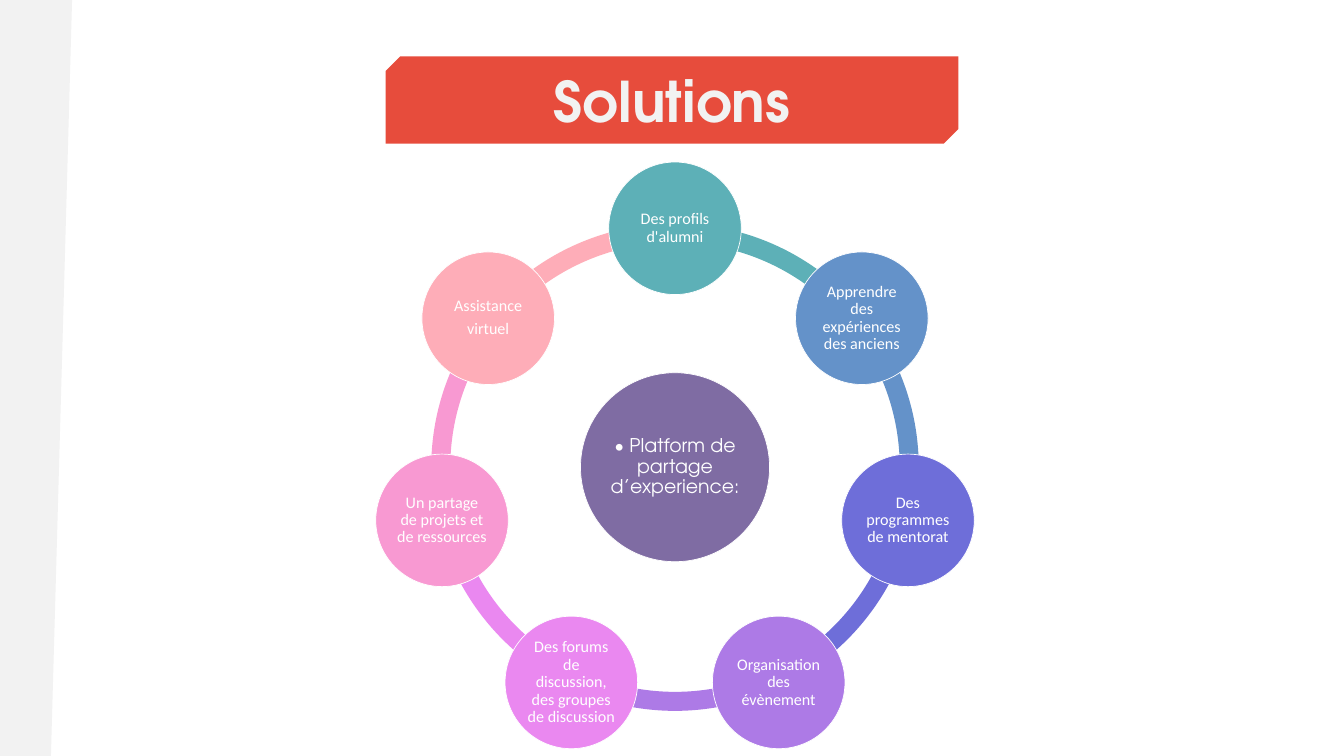
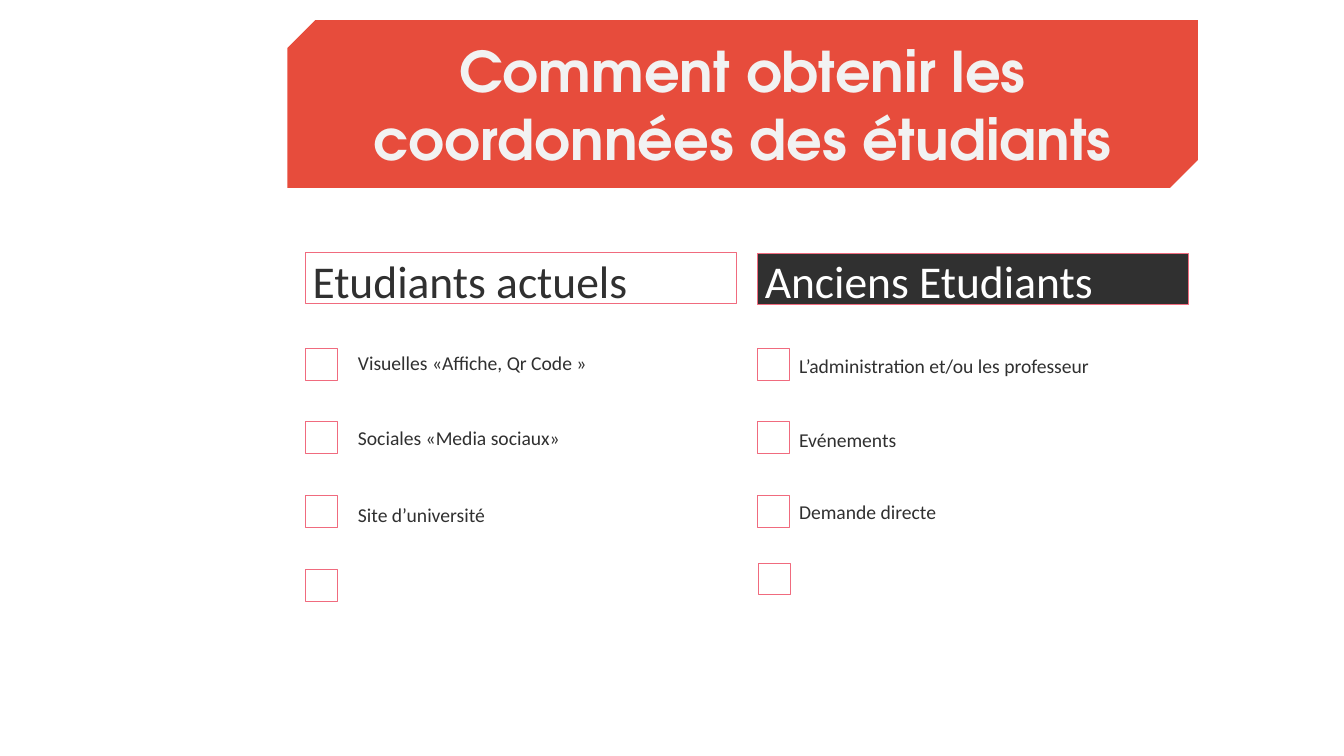
"""Build two slides: a ring of alumni platform ideas and a two-column checklist."""
from dataclasses import dataclass
from math import cos, radians, sin
from typing import NamedTuple

from pptx import Presentation
from pptx.dml.color import RGBColor
from pptx.enum.shapes import MSO_SHAPE as Preset
from pptx.enum.text import MSO_ANCHOR as Anchor, MSO_AUTO_SIZE as AutoSize, PP_ALIGN as Align
from pptx.util import Inches, Pt

TITLE_FONT, BODY_FONT = "TeX Gyre Adventor", "Calibri"
RED, PINK, PALE, WHITE, DARK, PURPLE = "E74C3C", "F06B7E", "F2F2F2", "FFFFFF", "303030", "7F6CA3"

RING_X, RING_Y, RING_RADIUS, ARC_SIZE = 13.39, 9.27, 4.74, 9.67
PETAL_SIZE, HUB_SIZE = 2.63, 3.75
ADJUST_PER_DEGREE = 0.6

COLUMN_WIDTH, HEADING_HEIGHT, CHECK_SIZE = 8.55, 1.01, 0.63
CHECK_TOP, CHECK_STEP = 6.91, 1.46
LABEL_WIDTH, LABEL_HEIGHT, LABEL_INSET = 7.95, 1.46, 0.22


class Area(NamedTuple):
    left: float
    top: float
    width: float
    height: float

    def lengths(self) -> list:
        return [Inches(value) for value in self]


class Insets(NamedTuple):
    left: float
    top: float
    right: float
    bottom: float


@dataclass(frozen=True)
class TextStyle:
    size: float
    color: str
    font: str = BODY_FONT
    bold: bool = False
    align: Align = Align.LEFT
    line_spacing: float = 0.9
    after_share: float = 0.35


@dataclass(frozen=True)
class Petal:
    lines: tuple[str, ...]
    color: str


@dataclass(frozen=True)
class Label:
    text: str
    top: float
    lift: float = 0


@dataclass(frozen=True)
class Column:
    heading: str
    left: float
    heading_top: float
    fill: str
    heading_color: str
    label_left: float
    last_check: tuple[float, float]
    labels: tuple[Label, ...]


TITLE_STYLE = TextStyle(80, PALE, TITLE_FONT, True, Align.CENTER, 1, 0)
HUB_STYLE = TextStyle(27, WHITE, TITLE_FONT, align=Align.CENTER)
PETAL_STYLE = TextStyle(23, WHITE, align=Align.CENTER)
LABEL_STYLE = TextStyle(28, DARK)

PETALS = (
    Petal(("Des profils d'alumni",), "5DB0B7"),
    Petal(("Apprendre des expériences des anciens",), "6492C9"),
    Petal(("Des programmes de mentorat",), "6E6ED9"),
    Petal(("Organisation des évènement",), "AD7AE6"),
    Petal(("Des forums de discussion, des groupes de discussion",), "EA88F0"),
    Petal(("Un partage de projets et de ressources",), "F899D2"),
    Petal(("Assistance", "virtuel"), "FEADB8"),
)

COLUMNS = (
    Column("Etudiants actuels", 6.06, 5.01, WHITE, DARK, 6.88, (6.06, 11.3), (
        Label("Visuelles «Affiche, Qr Code »", 6.49),
        Label("Sociales «Media sociaux»", 8.23, 0.25),
        Label("Site d’université", 9.51),
    )),
    Column("Anciens Etudiants", 15.03, 5.03, DARK, WHITE, 15.63, (15.04, 11.17), (
        Label("L’administration et/ou les professeur", 6.56),
        Label("Evénements", 8.28, 0.25),
        Label("Demande directe", 9.74, 0.29),
    )),
)


def rgb(color: str) -> RGBColor:
    """Turn a hex string into a colour."""
    return RGBColor.from_string(color)


def paint(shape, fill: str, line: str | None = None) -> None:
    """Give a shape a flat fill and an optional one-point outline."""
    shape.shadow.inherit = False
    shape.fill.solid()
    shape.fill.fore_color.rgb = rgb(fill)
    if line:
        shape.line.color.rgb = rgb(line)
        shape.line.width = Pt(1)
    else:
        shape.line.fill.background()


def add_preset(page, preset: Preset, area: Area, fill: str, line: str | None = None):
    """Add a painted preset shape."""
    shape = page.shapes.add_shape(preset, *area.lengths())
    paint(shape, fill, line)
    return shape


def write(box, lines: tuple[str, ...], style: TextStyle, insets: Insets) -> None:
    """Write one paragraph per line, centred vertically between the insets."""
    frame = box.text_frame
    frame.word_wrap = True
    frame.auto_size = AutoSize.NONE
    frame.vertical_anchor = Anchor.MIDDLE
    frame.margin_left, frame.margin_top, frame.margin_right, frame.margin_bottom = map(Inches, insets)
    for index, line in enumerate(lines):
        para = frame.add_paragraph() if index else frame.paragraphs[0]
        para.alignment = style.align
        para.line_spacing = style.line_spacing
        para.space_after = Pt(round(style.size * style.after_share))
        span = para.add_run()
        span.text = line
        span.font.name = style.font
        span.font.size = Pt(style.size)
        span.font.bold = style.bold
        span.font.color.rgb = rgb(style.color)


def add_text(page, area: Area, text: str, style: TextStyle, insets: Insets) -> None:
    """Add a text box holding one paragraph."""
    write(page.shapes.add_textbox(*area.lengths()), (text,), style, insets)


def add_titled_page(deck, text: str, area: Area):
    """Add a title-only slide whose title sits on a red snipped band."""
    page = deck.slides.add_slide(deck.slide_layouts[5])
    title = page.shapes.title
    title.left, title.top, title.width, title.height = area.lengths()
    write(title, (text,), TITLE_STYLE, Insets(0.1, 0.05, 0.1, 0.05))
    band = add_preset(page, Preset.SNIP_2_DIAG_RECTANGLE, area, RED)
    band.adjustments[0], band.adjustments[1] = 0.16667, 0
    title._element.addprevious(band._element)
    return page


def add_side_panel(page) -> None:
    """Draw the slanted grey panel along the left edge."""
    corners = [(Inches(x), Inches(y)) for x, y in ((1.43, 0), (1.01, 15.02), (0, 15.02))]
    builder = page.shapes.build_freeform(0, 0)
    builder.add_line_segments(corners, close=True)
    paint(builder.convert_to_shape(), PALE)


def centred(x: float, y: float, size: float) -> Area:
    """Return the square area around a centre."""
    return Area(x - size / 2, y - size / 2, size, size)


def add_disc(page, area: Area, fill: str, lines: tuple[str, ...], style: TextStyle, inset: float) -> None:
    """Add a white-rimmed circle with text in it."""
    disc = add_preset(page, Preset.OVAL, area, fill, WHITE)
    write(disc, lines, style, Insets(inset, inset, inset, inset))


def add_ring(page) -> None:
    """Draw the arcs, the hub and the petals of the ring, clockwise from the top."""
    step = 360 / len(PETALS)
    angles = [(270 + step * index) % 360 for index in range(len(PETALS))]
    for petal, angle in reversed(list(zip(PETALS, angles))):
        arc = add_preset(page, Preset.BLOCK_ARC, centred(RING_X, RING_Y, ARC_SIZE), petal.color)
        arc.adjustments[0] = angle * ADJUST_PER_DEGREE
        arc.adjustments[1] = (angle + step) % 360 * ADJUST_PER_DEGREE
        arc.adjustments[2] = 0.039
    add_disc(page, centred(RING_X, RING_Y, HUB_SIZE), PURPLE,
             ("• Platform de partage d’experience:",), HUB_STYLE, 0.04)
    for petal, angle in zip(PETALS, angles):
        x = RING_X + RING_RADIUS * cos(radians(angle))
        y = RING_Y + RING_RADIUS * sin(radians(angle))
        add_disc(page, centred(x, y, PETAL_SIZE), petal.color, petal.lines, PETAL_STYLE, 0.03)


def add_column(page, column: Column) -> None:
    """Draw a heading bar, its checkboxes and their labels."""
    bar = Area(column.left, column.heading_top, COLUMN_WIDTH, HEADING_HEIGHT)
    add_preset(page, Preset.RECTANGLE, bar, column.fill, PINK)
    add_text(page, Area(column.left, 4.72, COLUMN_WIDTH, 1.81), column.heading,
             TextStyle(65, column.heading_color), Insets(0.14, 0.09, 0.14, 0.09))
    checks = [(column.left, CHECK_TOP + CHECK_STEP * row) for row in range(len(column.labels))]
    for left, top in (*checks, column.last_check):
        add_preset(page, Preset.RECTANGLE, Area(left, top, CHECK_SIZE, CHECK_SIZE), WHITE, PINK)
    for label in column.labels:
        insets = Insets(LABEL_INSET, LABEL_INSET, LABEL_INSET, LABEL_INSET + 2 * label.lift)
        add_text(page, Area(column.label_left, label.top, LABEL_WIDTH, LABEL_HEIGHT),
                 label.text, LABEL_STYLE, insets)


def main() -> None:
    """Build and save the deck."""
    deck = Presentation()
    deck.slide_width, deck.slide_height = Inches(26.66), Inches(15)

    solutions = add_titled_page(deck, "Solutions", Area(7.65, 1.12, 11.36, 1.73))
    add_side_panel(solutions)
    add_ring(solutions)

    contacts = add_titled_page(deck, "Comment obtenir les coordonnées des étudiants",
                               Area(5.7, 0.4, 18.06, 3.33))
    for column in COLUMNS:
        add_column(contacts, column)

    deck.save("out.pptx")


if __name__ == "__main__":
    main()
